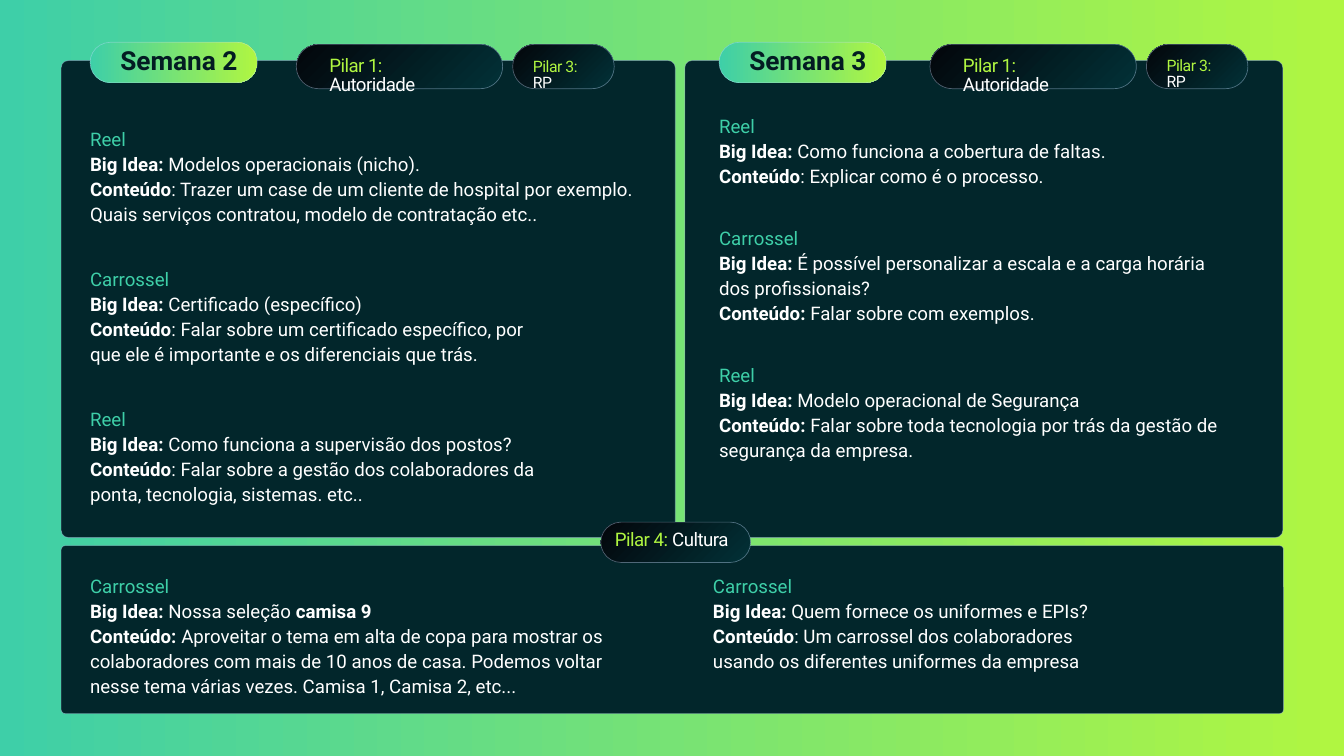
from lxml import etree
from pptx import Presentation
from pptx.dml.color import RGBColor
from pptx.enum.shapes import MSO_SHAPE
from pptx.enum.text import MSO_AUTO_SIZE
from pptx.oxml import parse_xml
from pptx.oxml.ns import nsdecls, qn
from pptx.util import Inches, Pt

TEAL = RGBColor(0x3E, 0xCF, 0xA8)
LIME = RGBColor(0xB0, 0xF6, 0x41)
PANEL = RGBColor(0x02, 0x26, 0x2B)
BLACK = RGBColor(0x03, 0x06, 0x0B)
DEEP = RGBColor(0x02, 0x31, 0x37)
INK = RGBColor(0x03, 0x1C, 0x22)
EDGE = RGBColor(0xC5, 0xDF, 0xFF)
WHITE = RGBColor(0xFF, 0xFF, 0xFF)

prs = Presentation()
prs.slide_width, prs.slide_height = Inches(20), Inches(11.25)
slide = prs.slides.add_slide(prs.slide_layouts[6])
back = slide.background.fill
back.gradient()
back.gradient_angle = 0
for stop, color in zip(back.gradient_stops, (TEAL, LIME)):
    stop.color.rgb = color


def add_box(x, y, w, h, radius, colors):
    """Rounded box; TEAL-LIME runs left to right, BLACK-DEEP from the top left corner."""
    box = slide.shapes.add_shape(MSO_SHAPE.ROUNDED_RECTANGLE,
                                 Inches(x), Inches(y), Inches(w), Inches(h))
    box.adjustments[0] = radius / h
    box.shadow.inherit = False
    if len(colors) == 1:
        box.fill.solid()
        box.fill.fore_color.rgb = colors[0]
    else:
        box.fill.gradient()
        box.fill.gradient_angle = 0
        for stop, color in zip(box.fill.gradient_stops, colors):
            stop.color.rgb = color
        if colors[0] == BLACK:
            lin = box.element.spPr.find(".//" + qn("a:lin"))
            lin.getparent().replace(lin, parse_xml(
                f'<a:path {nsdecls("a")} path="circle">'
                '<a:fillToRect r="100000" b="100000"/></a:path>'))
    box.line.color.rgb = EDGE
    box.line.width = Pt(0.75)
    tint = box.line._ln.find(".//" + qn("a:srgbClr"))
    etree.SubElement(tint, qn("a:alpha")).set("val", "40000")


def add_text(x, y, w, h, lines, size=20, pitch=26.8, spacing=0):
    """Each line is a list of (text, color, bold) runs."""
    box = slide.shapes.add_textbox(Inches(x), Inches(y), Inches(w), Inches(h))
    frame = box.text_frame
    frame.word_wrap = True
    frame.auto_size = MSO_AUTO_SIZE.SHAPE_TO_FIT_TEXT
    frame.margin_left = frame.margin_right = 0
    frame.margin_top = frame.margin_bottom = 0
    for i, line in enumerate(lines):
        para = frame.add_paragraph() if i else frame.paragraphs[0]
        para.line_spacing = Pt(pitch)
        for text, color, bold in line:
            run = para.add_run()
            run.text = text
            run.font.name = "Roboto"
            run.font.size = Pt(size)
            run.font.bold = bold
            run.font.color.rgb = color
            if spacing:
                run.font._element.set("spc", str(spacing))


# Panels
for x, y, w, h, radius in [(0.91, 0.9, 9.14, 7.1, 0.11),
                           (10.19, 0.9, 8.9, 7.1, 0.11),
                           (0.91, 8.12, 18.19, 2.5, 0.06)]:
    add_box(x, y, w, h, radius, [PANEL])

# Week headings
for week, x in [("Semana 2", 1.34), ("Semana 3", 10.7)]:
    add_box(x, 0.63, 2.49, 0.6, 0.3, [TEAL, LIME])
    add_text(x + 0.45, 0.75, 1.84, 0.41, [[(week, INK, True)]], 28.1, 27.2)

# Pillars: pill box, text box, label, topic, text size, line pitch, spacing
pillars = [((7.63, 0.66, 1.51, 0.66), (7.93, 0.88, 0.96, 0.26),
            "Pilar 3: ", "RP", 16.9, 17.2, -50),
           ((17.06, 0.66, 1.51, 0.66), (17.36, 0.87, 0.96, 0.26),
            "Pilar 3: ", "RP", 16.9, 17.2, -50),
           ((8.94, 7.77, 2.23, 0.6), (9.15, 7.91, 1.71, 0.31),
            "Pilar 4: ", "Cultura", 20, 20.4, -60)]
for x in (4.41, 13.84):
    pillars.append(((x, 0.66, 3.07, 0.66), (x + 0.49, 0.85, 2.09, 0.3),
                    "Pilar 1: ", "Autoridade", 20, 20.4, -60))
for pill, area, label, topic, size, pitch, spacing in pillars:
    add_box(*pill, pill[3] / 2, [BLACK, DEEP])
    add_text(*area, [[(label, LIME, False), (topic, WHITE, False)]],
             size, pitch, spacing)

# Posts: text box, format, then lines whose runs alternate bold and regular
posts = [
    ((1.34, 1.86, 8.47, 1.45), "Reel",
     [["Big Idea: ", "Modelos operacionais (nicho)."],
      ["Conteúdo", ": Trazer um case de um cliente de hospital por exemplo."],
      ["", "Quais serviços contratou, modelo de contratação etc.."]]),
    ((1.34, 3.95, 6.67, 1.45), "Carrossel",
     [["Big Idea: ", "Certificado (específico)"],
      ["Conteúdo", ": Falar sobre um certificado específico, por que ele é "
       "importante e os diferenciais que trás."]]),
    ((1.34, 6.03, 6.67, 1.45), "Reel",
     [["Big Idea: ", "Como funciona a supervisão dos postos?"],
      ["Conteúdo", ": Falar sobre a gestão dos colaboradores da ponta, "
       "tecnologia, sistemas. etc.."]]),
    ((10.7, 1.67, 7.62, 1.09), "Reel",
     [["Big Idea:", " Como funciona a cobertura de faltas."],
      ["Conteúdo", ": Explicar como é o processo."]]),
    ((10.7, 3.34, 7.62, 1.45), "Carrossel",
     [["Big Idea:", " É possível personalizar a escala e a carga horária "
       "dos profissionais?"],
      ["Conteúdo: ", "Falar sobre com exemplos."]]),
    ((10.7, 5.38, 7.62, 1.45), "Reel",
     [["Big Idea:", " Modelo operacional de Segurança"],
      ["Conteúdo: ", "Falar sobre toda tecnologia por trás da gestão de "
       "segurança da empresa."]]),
    ((1.34, 8.52, 8.24, 1.82), "Carrossel",
     [["Big Idea:", " Nossa seleção ", "camisa 9"],
      ["Conteúdo: ", "Aproveitar o tema em alta de copa para mostrar os "
       "colaboradores com mais de 10 anos de casa. Podemos voltar nesse tema "
       "várias vezes. Camisa 1, Camisa 2, etc..."]]),
    ((10.61, 8.52, 5.81, 1.45), "Carrossel",
     [["Big Idea:", " Quem fornece os uniformes e EPIs?"],
      ["Conteúdo", ": Um carrossel dos colaboradores"],
      ["", "usando os diferentes uniformes da empresa"]]),
]
for area, kind, body in posts:
    lines = [[(kind, TEAL, False)]]
    for parts in body:
        lines.append([(part, WHITE, i % 2 == 0)
                      for i, part in enumerate(parts) if part])
    add_text(*area, lines)

prs.save("out.pptx")
